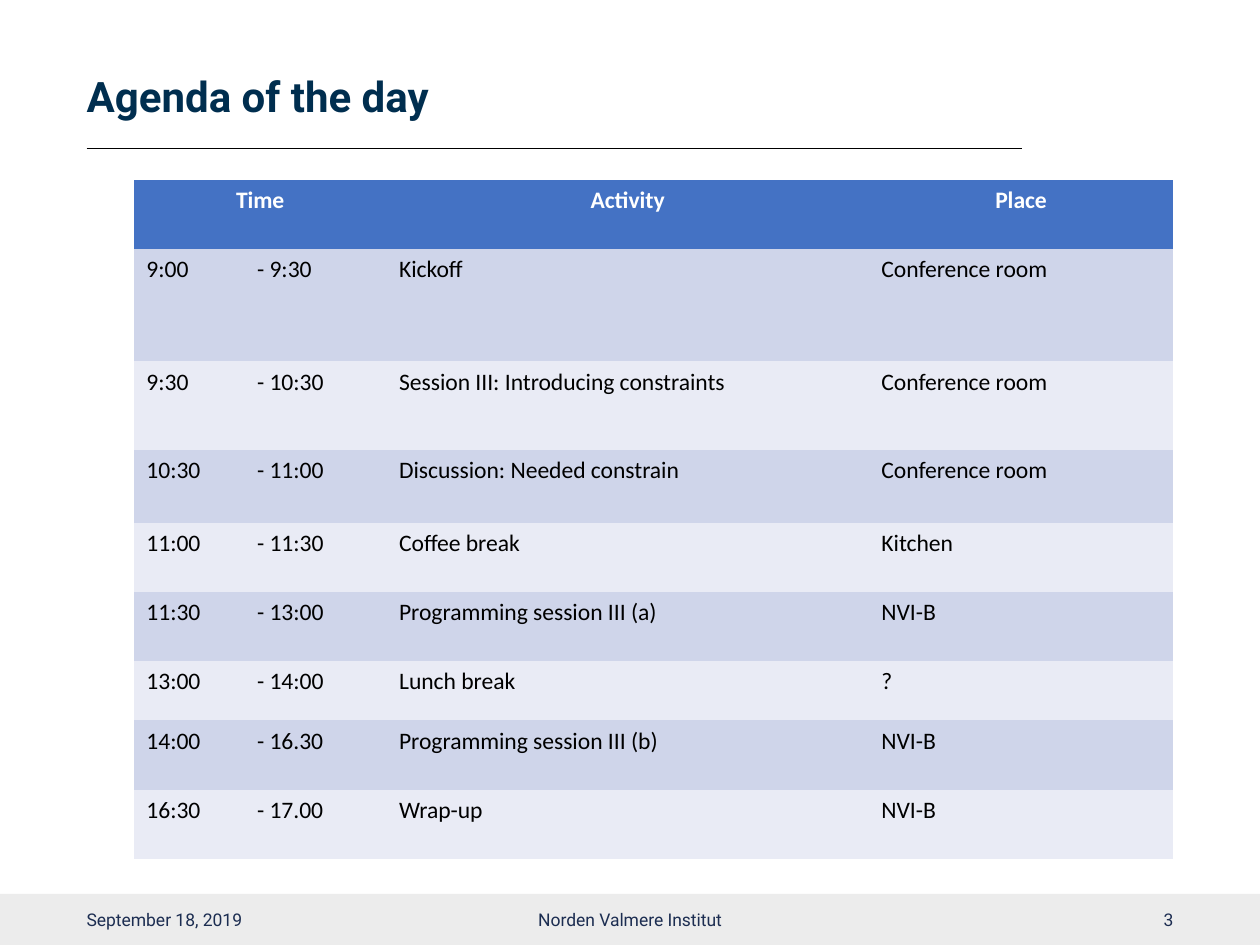
"""Build the agenda slide with its title, timetable and footer."""
import pptx
import pptx.dml.color
import pptx.enum.shapes
import pptx.enum.text
import pptx.oxml.ns
import pptx.util
from lxml import etree

Pt = pptx.util.Pt
RGBColor = pptx.dml.color.RGBColor
ALIGN = pptx.enum.text.PP_ALIGN
ANCHOR = pptx.enum.text.MSO_ANCHOR

WHITE = RGBColor(0xFF, 0xFF, 0xFF)
BLACK = RGBColor(0, 0, 0)
TITLE_NAVY = RGBColor(0x00, 0x2E, 0x4F)
FOOTER_NAVY = RGBColor(0x1C, 0x2D, 0x51)
FOOTER_GREY = RGBColor(0xEC, 0xEC, 0xEC)
HEADER_BLUE = RGBColor(0x44, 0x72, 0xC4)
BAND_DARK = RGBColor(0xCF, 0xD5, 0xEA)
BAND_LIGHT = RGBColor(0xE9, 0xEB, 0xF5)

PLAIN_TABLE_STYLE = "{2D5ABB26-0587-4C30-8999-92F81FD0307C}"
COLUMN_WIDTHS = (63.2, 81.2, 275.6, 174)
ROW_HEIGHTS = (39.5, 64.2, 50.5, 41.7, 39.5, 39.5, 34, 39.5, 39.5)
AGENDA = (
    ("Time", "", "Activity", "Place"),
    ("9:00", "- 9:30", "Kickoff", "Conference room"),
    ("9:30", "- 10:30", "Session III: Introducing constraints", "Conference room"),
    ("10:30", "- 11:00", "Discussion: Needed constrain", "Conference room"),
    ("11:00", "- 11:30", "Coffee break", "Kitchen"),
    ("11:30", "- 13:00", "Programming session III (a)", "NVI-B"),
    ("13:00", "- 14:00", "Lunch break", "?"),
    ("14:00", "- 16.30", "Programming session III (b)", "NVI-B"),
    ("16:30", "- 17.00", "Wrap-up", "NVI-B"),
)


def write(frame, text, size, font, color, bold=False, align=ALIGN.LEFT):
    """Add one formatted run to the first paragraph of a text frame."""
    para = frame.paragraphs[0]
    para.alignment = align
    span = para.add_run()
    span.text = text
    span.font.size = Pt(size)
    span.font.name = font
    span.font.bold = bold
    span.font.color.rgb = color
    return para


def set_frame(frame, left_inset, right_inset):
    """Wrap and vertically centre a text frame with the given side insets."""
    frame.word_wrap = True
    frame.auto_size = pptx.enum.text.MSO_AUTO_SIZE.NONE
    frame.vertical_anchor = ANCHOR.MIDDLE
    frame.margin_left, frame.margin_right = Pt(left_inset), Pt(right_inset)
    frame.margin_top = frame.margin_bottom = Pt(3.6)


def add_heading(page, left, top, width, height):
    """Place the title and the rule along the bottom of its box."""
    title = page.shapes.title
    title.left, title.top = Pt(left), Pt(top)
    title.width, title.height = Pt(width), Pt(height)
    set_frame(title.text_frame, 0, 7.2)
    para = write(title.text_frame, "Agenda of the day", 24, "Roboto", TITLE_NAVY, True)
    para.line_spacing = 0.9
    bottom = Pt(top + height)
    rule = page.shapes.add_connector(
        pptx.enum.shapes.MSO_CONNECTOR.STRAIGHT, Pt(left), bottom, Pt(left + width), bottom)
    rule.line.color.rgb = BLACK
    rule.line.width = Pt(0.5)
    etree.SubElement(rule._element.spPr, pptx.oxml.ns.qn("a:effectLst"))


def add_agenda(page, left, top):
    """Place the banded timetable with its top left corner at the given point."""
    holder = page.shapes.add_table(
        len(AGENDA), len(COLUMN_WIDTHS), Pt(left), Pt(top),
        Pt(sum(COLUMN_WIDTHS)), Pt(sum(ROW_HEIGHTS)))
    table = holder.table
    style = next(table._tbl.iter(pptx.oxml.ns.qn("a:tableStyleId")))
    style.text = PLAIN_TABLE_STYLE
    for column, width in zip(table.columns, COLUMN_WIDTHS):
        column.width = Pt(width)
    for row, height in zip(table.rows, ROW_HEIGHTS):
        row.height = Pt(height)
    table.cell(0, 0).merge(table.cell(0, 1))
    for row_index, entries in enumerate(AGENDA):
        header = row_index == 0
        band = BAND_DARK if row_index % 2 else BAND_LIGHT
        for column_index, text in enumerate(entries):
            cell = table.cell(row_index, column_index)
            cell.fill.solid()
            cell.fill.fore_color.rgb = HEADER_BLUE if header else band
            if text:
                write(cell.text_frame, text, 13.5, "Calibri",
                      WHITE if header else BLACK, header,
                      ALIGN.CENTER if header else ALIGN.LEFT)


def add_footer(page, left, top, width, height):
    """Place the footer bar with date, institute and page number."""
    bar = page.shapes.add_shape(
        pptx.enum.shapes.MSO_SHAPE.RECTANGLE, Pt(left), Pt(top), Pt(width), Pt(height))
    bar.shadow.inherit = False
    bar.fill.solid()
    bar.fill.fore_color.rgb = FOOTER_GREY
    bar.line.fill.background()
    margin, side, middle = 49.5, 162, 243
    parts = (
        ("September 18, 2019", margin, side, ALIGN.LEFT, 0, 7.2),
        ("Norden Valmere Institut", (width - middle) / 2, middle, ALIGN.CENTER, 7.2, 7.2),
        ("3", width - margin - side, side, ALIGN.RIGHT, 0, 0),
    )
    for text, offset, part_width, align, left_inset, right_inset in parts:
        box = page.shapes.add_textbox(
            Pt(left + offset), Pt(top), Pt(part_width), Pt(height))
        set_frame(box.text_frame, left_inset, right_inset)
        write(box.text_frame, text, 10, "Roboto", FOOTER_NAVY, align=align)


def main():
    """Create the deck and save it."""
    deck = pptx.Presentation()
    deck.slide_width, deck.slide_height = Pt(720), Pt(540)
    page = deck.slides.add_slide(deck.slide_layouts[5])
    add_footer(page, 0, 510.8, 720, 29.2)
    add_heading(page, 49.5, 27.4, 534.5, 57.6)
    add_agenda(page, 76.5, 102.9)
    deck.save("out.pptx")


main()
